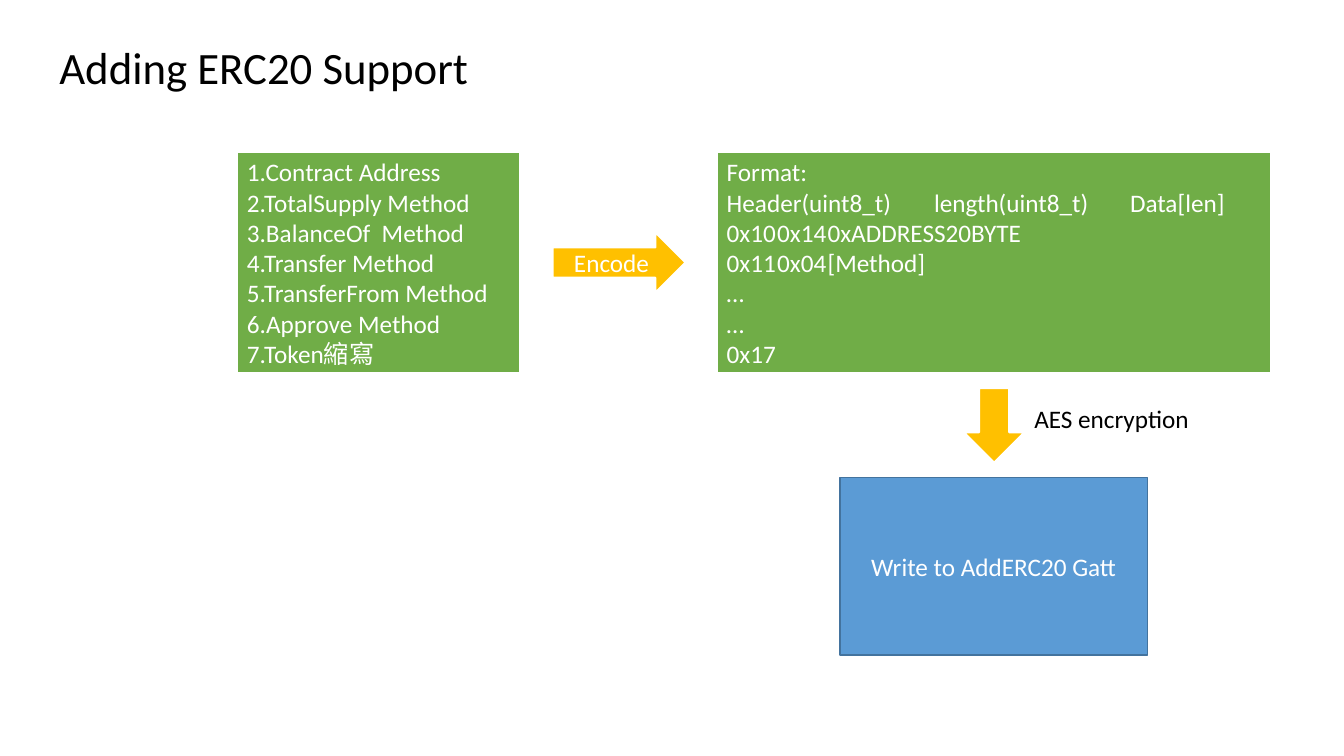
from pptx import Presentation
from pptx.dml.color import RGBColor
from pptx.enum.shapes import MSO_SHAPE as Shape
from pptx.enum.text import MSO_ANCHOR as Anchor, MSO_AUTO_SIZE as AutoSize, PP_ALIGN as Align
from pptx.util import Inches, Pt

FONT = "Calibri"
BLACK = RGBColor(0x00, 0x00, 0x00)
WHITE = RGBColor(0xFF, 0xFF, 0xFF)
GREEN = RGBColor(0x70, 0xAD, 0x47)
AMBER = RGBColor(0xFF, 0xC0, 0x00)
BLUE = RGBColor(0x5B, 0x9B, 0xD5)
DARK_BLUE = RGBColor(0x43, 0x73, 0x9E)

TOKEN_FIELDS = [
    "Contract Address",
    "TotalSupply Method",
    "BalanceOf  Method",
    "Transfer Method",
    "TransferFrom Method",
    "Approve Method",
    "Token縮寫",
]
FORMAT_LINES = [
    "Format:",
    "Header(uint8_t)\t length(uint8_t)\tData[len]",
    "0x10\t0x14\t0xADDRESS20BYTE",
    "0x11\t0x04\t[Method]",
    "…",
    "…",
    "0x17",
]


def write(frame, lines, size=18, color=WHITE, align=Align.LEFT):
    """Fill a text frame with one paragraph per line."""
    for i, line in enumerate(lines):
        paragraph = frame.paragraphs[0] if i == 0 else frame.add_paragraph()
        paragraph.alignment = align
        run = paragraph.add_run()
        run.text = line
        run.font.name = FONT
        run.font.size = Pt(size)
        run.font.color.rgb = color


def add_label(slide, box, text, size=18):
    label = slide.shapes.add_textbox(*map(Inches, box))
    frame = label.text_frame
    frame.word_wrap = False
    frame.auto_size = AutoSize.SHAPE_TO_FIT_TEXT
    write(frame, [text], size=size, color=BLACK)


def add_block(slide, box, kind, fill, lines=(), line=WHITE, weight=1.5,
              align=Align.LEFT, rotation=0):
    block = slide.shapes.add_shape(kind, *map(Inches, box))
    block.shadow.inherit = False
    block.rotation = rotation
    block.fill.solid()
    block.fill.fore_color.rgb = fill
    block.line.color.rgb = line
    block.line.width = Pt(weight)
    frame = block.text_frame
    frame.word_wrap = True
    frame.vertical_anchor = Anchor.MIDDLE
    write(frame, lines, align=align)


def add_encoding_row(slide, left, top, height):
    """Token fields, the encode arrow and the resulting format."""
    fields = [f"{n}.{field}" for n, field in enumerate(TOKEN_FIELDS, 1)]
    add_block(slide, (left, top, 2.81, height), Shape.RECTANGLE, GREEN, fields)
    add_block(slide, (left + 3.13, top + (height - 0.6) / 2, 1.32, 0.6),
              Shape.RIGHT_ARROW, AMBER, ["Encode"], align=Align.CENTER)
    add_block(slide, (left + 4.76, top, 5.5, height), Shape.RECTANGLE, GREEN, FORMAT_LINES)


def add_encryption_column(slide, center, top):
    """The encryption arrow, its label and the final write step."""
    add_block(slide, (center - 0.37, top, 0.74, 0.6), Shape.RIGHT_ARROW, AMBER, rotation=90)
    add_label(slide, (center + 0.3, top + 0.03, 1.75, 0.4), "AES encryption")
    add_block(slide, (center - 1.53, top + 0.82, 3.05, 1.76), Shape.RECTANGLE, BLUE,
              ["Write to AddERC20 Gatt"], line=DARK_BLUE, weight=1, align=Align.CENTER)


def main():
    deck = Presentation()
    deck.slide_width, deck.slide_height = Inches(13.33), Inches(7.5)
    slide = deck.slides.add_slide(deck.slide_layouts[6])
    add_label(slide, (0.49, 0.34, 4.31, 0.64), "Adding ERC20 Support", size=32)
    add_encoding_row(slide, left=2.35, top=1.51, height=2.19)
    add_encryption_column(slide, center=9.86, top=3.92)
    deck.save("out.pptx")


if __name__ == "__main__":
    main()
